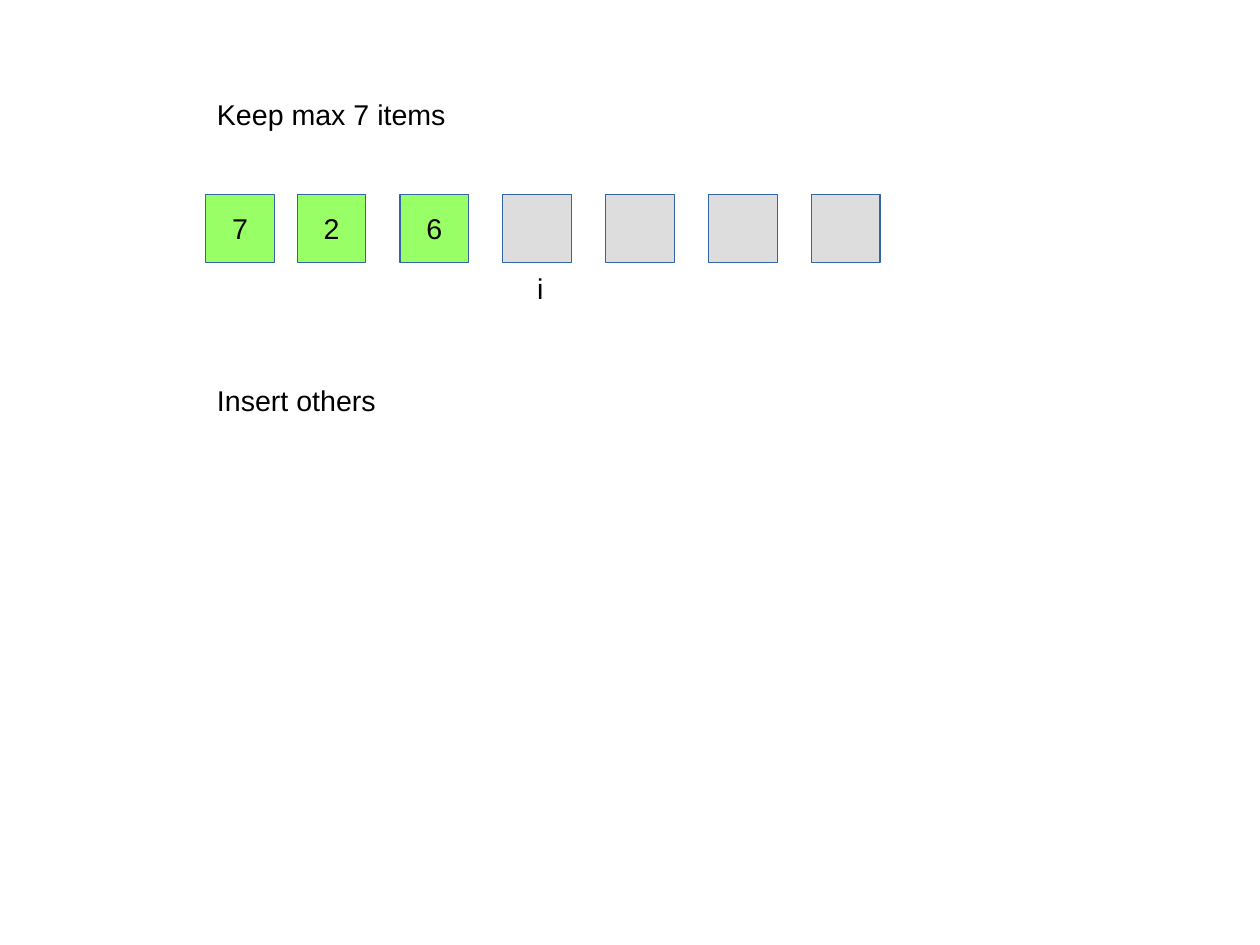
from dataclasses import dataclass

from pptx import Presentation
from pptx.dml.color import RGBColor
from pptx.enum.shapes import MSO_SHAPE
from pptx.enum.text import MSO_ANCHOR, MSO_AUTO_SIZE, PP_ALIGN
from pptx.util import Inches, Pt


@dataclass(frozen=True)
class Theme:
    font: str = "Arial"
    size: Pt = Pt(18)
    text: RGBColor = RGBColor(0x00, 0x00, 0x00)
    filled: RGBColor = RGBColor(0x99, 0xFF, 0x66)
    empty: RGBColor = RGBColor(0xDD, 0xDD, 0xDD)
    outline: RGBColor = RGBColor(0x34, 0x65, 0xA4)


theme = Theme()


def write(tf, text):
    tf.word_wrap = False
    p = tf.paragraphs[0]
    p.text = text
    p.font.name = theme.font
    p.font.size = theme.size
    p.font.color.rgb = theme.text
    return p


# Slide of 28 by 21 cm
prs = Presentation()
prs.slide_width = Inches(28 / 2.54)
prs.slide_height = Inches(21 / 2.54)
s = prs.slides.add_slide(prs.slide_layouts[6])

# Array cells: the first stands apart, the rest are evenly spaced
items = ["7", "2", "6"]
capacity = 7
cell = Inches(0.6)
lefts = [1.8] + [2.6 + 0.9 * i for i in range(capacity - 1)]
for i, left in enumerate(lefts):
    sp = s.shapes.add_shape(MSO_SHAPE.RECTANGLE, Inches(left), Inches(1.7), cell, cell)
    sp.shadow.inherit = False
    sp.fill.solid()
    sp.fill.fore_color.rgb = theme.filled if i < len(items) else theme.empty
    sp.line.color.rgb = theme.outline
    sp.line.width = Pt(0)
    if i < len(items):
        sp.text_frame.vertical_anchor = MSO_ANCHOR.MIDDLE
        write(sp.text_frame, items[i]).alignment = PP_ALIGN.CENTER

# Captions and the index marker
labels = [
    ("Keep max 7 items", 1.8, 0.8, 2.2),
    ("Insert others", 1.8, 3.3, 1.59),
    ("i", 4.6, 2.32, 0.25),
]
for text, left, top, width in labels:
    sp = s.shapes.add_textbox(Inches(left), Inches(top), Inches(width), Inches(0.38))
    write(sp.text_frame, text)
    sp.text_frame.auto_size = MSO_AUTO_SIZE.SHAPE_TO_FIT_TEXT

prs.save("out.pptx")
